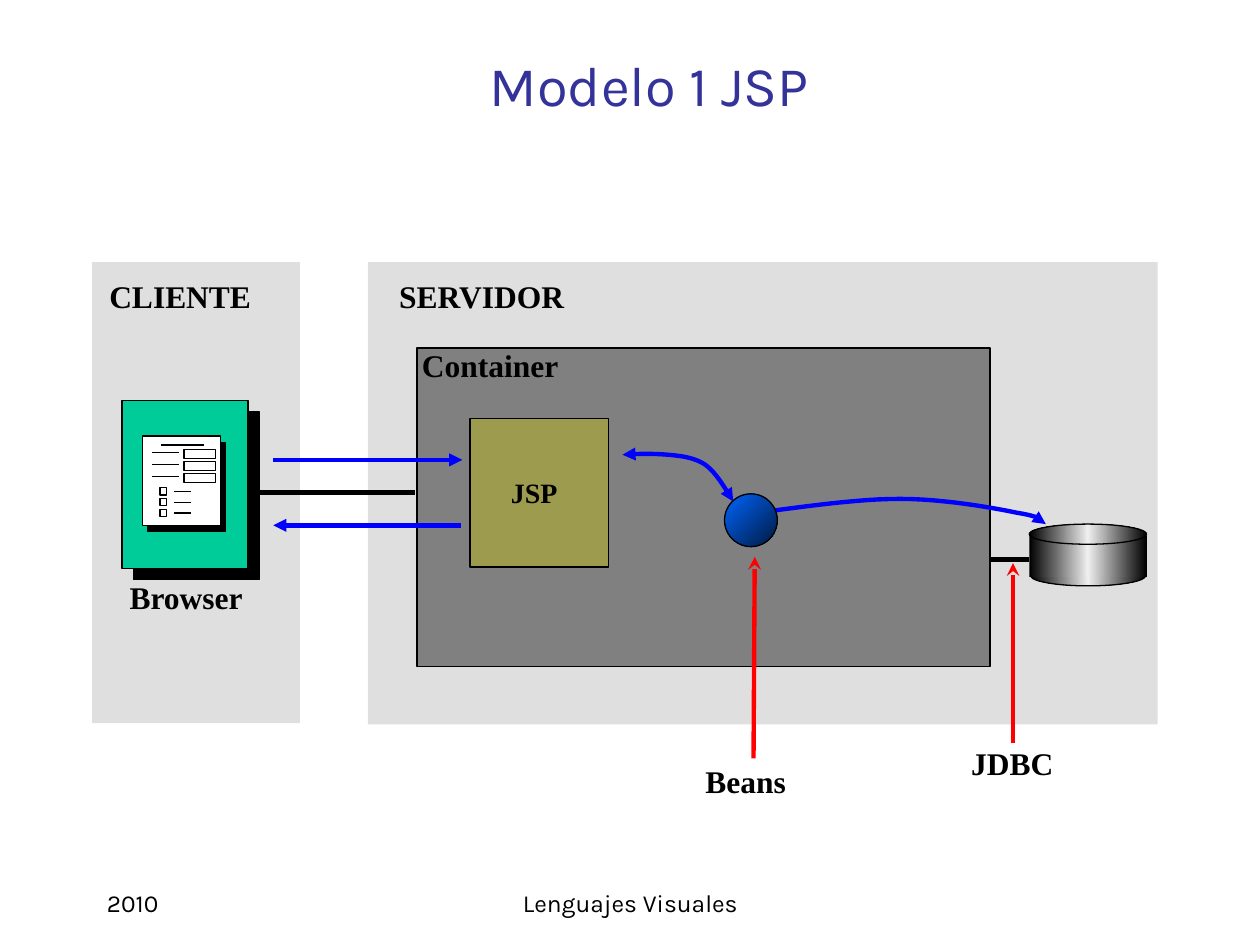
from copy import deepcopy

from lxml.etree import SubElement
from pptx import Presentation
from pptx.dml.color import RGBColor as Rgb
from pptx.enum.shapes import MSO_CONNECTOR as Link, MSO_SHAPE as Kind
from pptx.enum.text import MSO_ANCHOR as Anchor, PP_ALIGN as Align
from pptx.oxml.ns import qn
from pptx.util import Pt

COLORS = {
    "black": "000000", "white": "FFFFFF", "title": "333399",
    "panel": "C0C0C0", "container": "808080", "browser": "00CC99",
    "jsp": "9D9B4D", "flow": "0000FF", "pointer": "FF0000",
    "bean_light": "0066FF", "bean_dark": "00193F", "shine": "EFEFEF",
}
METAL = ("black", "shine", "black")


def color(name):
    return Rgb.from_string(COLORS[name])


class Canvas:
    sans = "Karla"
    serif = "Times New Roman"
    thick = 2.5

    def __init__(self, slide):
        self.slide = slide
        self.shapes = slide.shapes

    def add_text(self, frame, text, size, font, ink="black", bold=False, align=Align.LEFT):
        para = frame.paragraphs[0]
        para.alignment = align
        span = para.add_run()
        span.text = text
        span.font.size = Pt(size)
        span.font.name = font
        span.font.bold = bold
        span.font.color.rgb = color(ink)

    def title(self, text, left, top, width, height):
        box = self.shapes.title
        box.left, box.top, box.width, box.height = map(Pt, (left, top, width, height))
        box.text_frame.vertical_anchor = Anchor.MIDDLE
        self.add_text(box.text_frame, text, 32, self.sans, "title", align=Align.CENTER)

    def text(self, text, left, top, width, height, size, font, bold=False, align=Align.LEFT):
        box = self.shapes.add_textbox(*map(Pt, (left, top, width, height)))
        box.text_frame.word_wrap = True
        self.add_text(box.text_frame, text, size, font, bold=bold, align=align)

    def label(self, text, left, top, width=81.4):
        self.text(text, left, top, width, 28.8, 18, self.serif, bold=True)

    def footer(self, text, left, width, align=Align.LEFT):
        self.text(text, left, 504, width, 23.8, 14, self.sans, align=align)

    def shape(self, left, top, width, height, fill=None, line=0.75, kind=Kind.RECTANGLE):
        shape = self.shapes.add_shape(kind, *map(Pt, (left, top, width, height)))
        shape.shadow.inherit = False
        if fill:
            shape.fill.solid()
            shape.fill.fore_color.rgb = color(fill)
        else:
            shape.fill.background()
        if line:
            shape.line.color.rgb = color("black")
            shape.line.width = Pt(line)
        else:
            shape.line.fill.background()
        return shape

    def panel(self, left, top, width, height):
        shape = self.shape(left, top, width, height, "panel", None)
        tint = shape._element.spPr.find(qn("a:solidFill"))[0]
        SubElement(tint, qn("a:alpha")).set("val", "50000")

    def gradient(self, left, top, width, height, names, angle=0, line=0.75, kind=Kind.OVAL):
        shape = self.shape(left, top, width, height, None, line, kind)
        shape.fill.gradient()
        shape.fill.gradient_angle = angle
        stops = shape._element.spPr.find(qn("a:gradFill")).find(qn("a:gsLst"))
        for _ in names[2:]:
            stops.append(deepcopy(stops[0]))
        for index, (stop, name) in enumerate(zip(shape.fill.gradient_stops, names)):
            stop.position = index / (len(names) - 1)
            stop.color.rgb = color(name)

    def stroke(self, shape, ink, width, head, tail):
        shape.line.color.rgb = color(ink)
        shape.line.width = Pt(width)
        outline = shape.line._get_or_add_ln()
        for tag, arrow in (("a:headEnd", head), ("a:tailEnd", tail)):
            if arrow:
                SubElement(outline, qn(tag)).set("type", arrow)

    def line(self, x1, y1, x2, y2, ink="black", width=0.75, head=None, tail=None):
        line = self.shapes.add_connector(Link.STRAIGHT, *map(Pt, (x1, y1, x2, y2)))
        self.stroke(line, ink, width, head, tail)
        SubElement(line._element.spPr, qn("a:effectLst"))

    def curve(self, points, head=None, tail=None, steps=12):
        track = [points[0]]
        for start in range(0, len(points) - 1, 3):
            corners = points[start:start + 4]
            for step in range(1, steps + 1):
                t = step / steps
                weights = ((1 - t) ** 3, 3 * t * (1 - t) ** 2, 3 * t * t * (1 - t), t ** 3)
                track.append(tuple(
                    sum(weight * corner[axis] for weight, corner in zip(weights, corners))
                    for axis in (0, 1)))
        track = [(Pt(x), Pt(y)) for x, y in track]
        builder = self.shapes.build_freeform(*track[0])
        builder.add_line_segments(track[1:], close=False)
        shape = builder.convert_to_shape()
        shape.shadow.inherit = False
        shape.fill.background()
        self.stroke(shape, "flow", self.thick, head, tail)

    def raised(self, left, top, width, height, fill, offset):
        self.shape(left + offset[0], top + offset[1], width, height, "black")
        self.shape(left, top, width, height, fill)

    def browser(self):
        self.raised(69.8, 229, 72, 95.8, "browser", (6.5, 6.5))
        self.raised(81.4, 249.1, 44.6, 51.1, "white", (2.9, 3.6))
        self.line(92.2, 254.2, 116.6, 254.2, width=1.5)
        for row in range(3):
            field = 258.5 + row * 6.85
            self.line(87.1, field, 102.2, field)
            self.shape(105.1, field - 1.5, 18, 5)
            check = 280.8 + row * 6.2
            self.line(99.4, check, 109.4, check)
            self.shape(91.4, check - 2.2, 3.6, 4.3)

    def database(self):
        self.gradient(589, 323.3, 65.5, 11.5, METAL)
        self.gradient(588.2, 306, 67, 23.8, METAL, line=None, kind=Kind.RECTANGLE)
        self.gradient(588.2, 299.5, 67, 11.5, METAL)
        for side in (589, 655.2):
            self.line(side, 306, side, 329.8)

    def jsp(self):
        box = self.shape(268.6, 239, 79.2, 85, "jsp")
        frame = box.text_frame
        frame.vertical_anchor = Anchor.MIDDLE
        frame.margin_left = Pt(23.4)
        self.add_text(frame, "JSP", 16, self.serif, bold=True)


def main():
    deck = Presentation()
    deck.slide_width, deck.slide_height = Pt(720), Pt(540)
    page = Canvas(deck.slides.add_slide(deck.slide_layouts[5]))
    thick = page.thick

    page.footer("2010", 54, 149.8)
    page.footer("Lenguajes Visuales", 246.2, 228.2, Align.CENTER)
    page.title("Modelo 1 JSP", 76.3, 15.1, 589.7, 66.2)

    page.panel(210.2, 149.8, 451.4, 264.2)
    page.line(564.5, 319.7, 588.2, 319.7, width=thick)
    page.label("JDBC", 547.9, 421.9)
    page.line(578.9, 424.8, 578.9, 321.8, "pointer", thick, tail="stealth")
    page.shape(238.3, 198.7, 327.6, 182.2, "container", 1)
    page.label("Container", 234, 194.4, 308.2)

    page.panel(52.6, 149.8, 118.8, 263.5)
    page.line(140.4, 281.5, 236.9, 281.5, width=thick)
    page.browser()
    page.database()

    page.label("Browser", 67, 326.9)
    page.label("Beans", 396, 432)
    page.line(430.6, 433.4, 431.3, 318.2, "pointer", thick, tail="stealth")
    page.label("SERVIDOR", 221, 154.8, 126.7)
    page.label("CLIENTE", 55.4, 154.8, 103)

    page.line(156.2, 262.8, 264.2, 262.8, "flow", thick, tail="triangle")
    page.curve([(355.7, 259.9), (365, 259.2), (373.7, 259.2), (381.6, 259.9),
                (389.5, 260.6), (396.7, 261.4), (403.2, 265.7),
                (409.7, 270.7), (414, 278.6), (419, 286.6)], "triangle", "triangle")
    page.curve([(432.7, 293), (460.8, 289.4), (489.6, 285.1), (514.1, 285.1),
                (539.3, 285.1), (567.4, 290.2), (581, 293),
                (594.7, 295.2), (596.2, 297.4), (597.6, 299.5)], tail="triangle")
    page.gradient(414, 282.2, 30.2, 30.2, ("bean_light", "bean_dark"), 315)
    page.jsp()
    page.line(156.2, 300.2, 263.5, 300.2, "flow", thick, head="triangle")

    deck.save("out.pptx")


if __name__ == "__main__":
    main()
